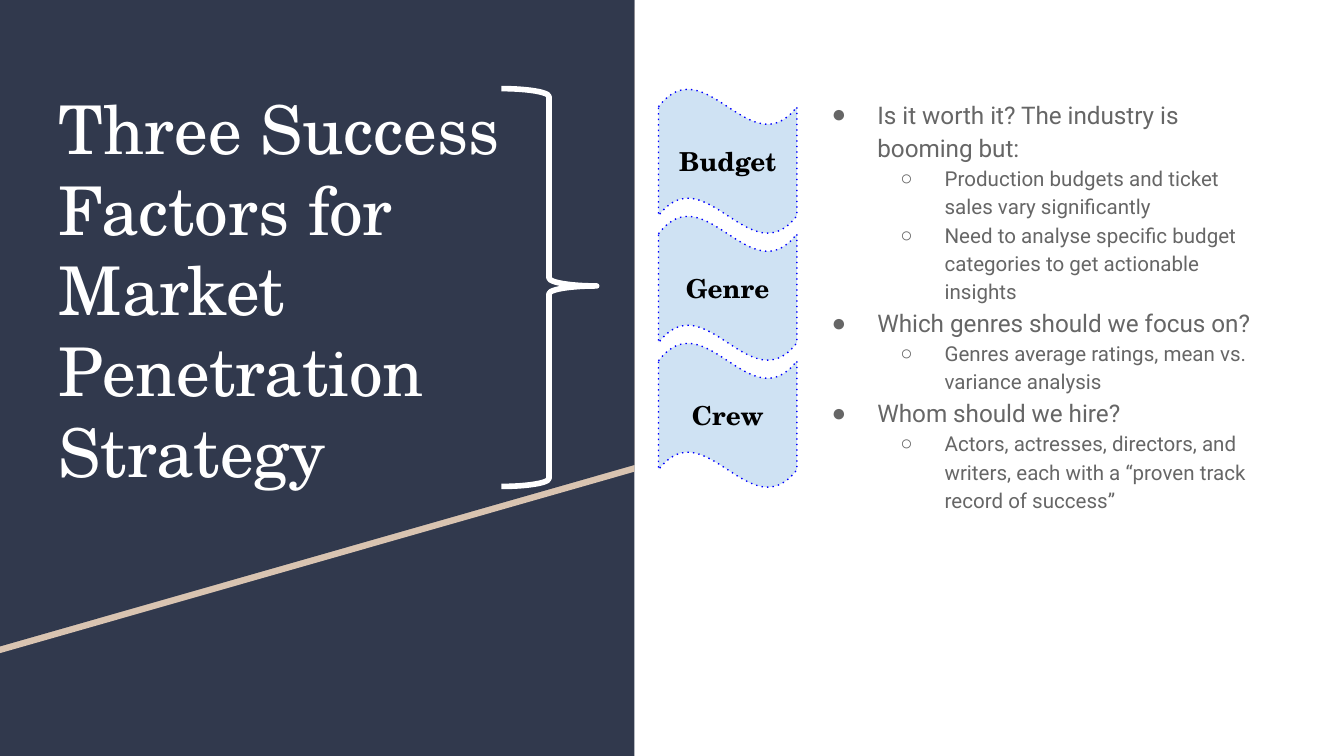
from dataclasses import dataclass

from lxml.etree import SubElement
from pptx import Presentation
from pptx.dml.color import RGBColor
from pptx.enum.shapes import MSO_SHAPE as Shape
from pptx.enum.text import MSO_ANCHOR as Anchor, PP_ALIGN as Align
from pptx.oxml.ns import qn
from pptx.util import Inches, Pt


@dataclass(frozen=True)
class Theme:
    navy: str = "31394D"
    sand: str = "D9C4B1"
    white: str = "FFFFFF"
    black: str = "000000"
    gray: str = "666666"
    pale_blue: str = "CFE2F3"
    blue: str = "0000FF"
    serif: str = "TeX Gyre Schola"
    sans: str = "Roboto"
    bullet: str = "Arial"
    title_size: int = 36
    label_size: int = 14
    point_size: int = 13
    detail_size: int = 11


THEME = Theme()
PAGE_WIDTH = Inches(10)
PAGE_HEIGHT = PAGE_WIDTH * 9 // 16
TITLE = "Three Success Factors for Market Penetration Strategy"
FACTORS = ["Budget", "Genre", "Crew"]
QUESTIONS = [
    ("Is it worth it? The industry is booming but:",
     ["Production budgets and ticket sales vary significantly",
      "Need to analyse specific budget categories to get actionable insights"]),
    ("Which genres should we focus on?",
     ["Genres average ratings, mean vs. variance analysis"]),
    ("Whom should we hire?",
     ["Actors, actresses, directors, and writers, each with a “proven track record of success”"]),
]


def color(value):
    return RGBColor.from_string(value)


def style_font(para, name, size, fill, bold=False):
    font = para.font
    font.name, font.size, font.bold = name, Pt(size), bold
    font.color.rgb = color(fill)


def set_insets(frame):
    frame.word_wrap = True
    frame.margin_left = frame.margin_right = Inches(0.1)
    frame.margin_top = frame.margin_bottom = Inches(0.1)


def fill_plain(shape, fill):
    shape.shadow.inherit = False
    shape.fill.solid()
    shape.fill.fore_color.rgb = color(fill)
    shape.line.fill.background()


def add_polygon(page, points, fill):
    corners = [(Inches(x), Inches(y)) for x, y in points]
    builder = page.shapes.build_freeform(*corners[0])
    builder.add_line_segments(corners[1:], close=True)
    fill_plain(builder.convert_to_shape(), fill)


def add_left_panel(page):
    """Navy panel crossed by a slanted sand stripe."""
    width = 4.72
    panel = page.shapes.add_shape(
        Shape.RECTANGLE, 0, 0, Inches(width), PAGE_HEIGHT)
    fill_plain(panel, THEME.navy)
    for drop, fill in [(0.05, THEME.sand), (0, THEME.navy)]:
        add_polygon(page, [(0, drop), (width, drop),
                           (width, 3.46 + drop), (0, 4.81 + drop)], fill)


def add_text_frame(page, left, top, width, height):
    box = page.shapes.add_textbox(
        Inches(left), Inches(top), Inches(width), Inches(height))
    set_insets(box.text_frame)
    return box.text_frame


def add_title(page):
    para = add_text_frame(page, 0.34, 0.55, 4.05, 2.74).paragraphs[0]
    para.text = TITLE
    style_font(para, THEME.serif, THEME.title_size, THEME.white)


def add_bullet(para, symbol, margin, hanging):
    props = para._p.get_or_add_pPr()
    props.set("marL", str(Inches(margin)))
    props.set("indent", str(-Inches(hanging)))
    tint = SubElement(props, qn("a:buClr"))
    SubElement(tint, qn("a:srgbClr"), val=THEME.gray)
    SubElement(props, qn("a:buFont"), typeface=THEME.bullet)
    SubElement(props, qn("a:buChar"), char=symbol)


def add_questions(page):
    frame = add_text_frame(page, 5.93, 0.61, 3.51, 4.48)
    rows = []
    for question, details in QUESTIONS:
        rows.append((0, question))
        rows += [(1, detail) for detail in details]
    styles = [("●", 0.5, 0.34, THEME.point_size),
              ("○", 1, 0.33, THEME.detail_size)]
    for index, (level, text) in enumerate(rows):
        para = frame.add_paragraph() if index else frame.paragraphs[0]
        symbol, margin, hanging, size = styles[level]
        para.text, para.level, para.line_spacing = text, level, 1.15
        add_bullet(para, symbol, margin, hanging)
        style_font(para, THEME.sans, size, THEME.gray)


def add_brace(page):
    brace = page.shapes.add_shape(
        Shape.RIGHT_BRACE, Inches(3.73), Inches(0.66), Inches(0.71), Inches(2.96))
    brace.shadow.inherit = False
    brace.adjustments[0], brace.adjustments[1] = 0.083, 0.496
    brace.fill.background()
    brace.line.color.rgb = color(THEME.white)
    brace.line.width = Pt(3)


def add_dotted_outline(shape, tint, width):
    shape.line.color.rgb = color(tint)
    shape.line.width = Pt(width)
    outline = shape._element.spPr.find(qn("a:ln"))
    SubElement(outline, qn("a:prstDash"), val="dot")


def add_factor(page, top, label):
    wave = page.shapes.add_shape(
        Shape.WAVE, Inches(4.9), Inches(top), Inches(1.03), Inches(1.08))
    fill_plain(wave, THEME.pale_blue)
    wave.adjustments[0], wave.adjustments[1] = 0.125, 0
    add_dotted_outline(wave, THEME.blue, 0.75)
    frame = wave.text_frame
    set_insets(frame)
    frame.vertical_anchor = Anchor.MIDDLE
    para = frame.paragraphs[0]
    para.text, para.alignment = label, Align.CENTER
    style_font(para, THEME.serif, THEME.label_size, THEME.black, bold=True)


def main():
    deck = Presentation()
    deck.slide_width, deck.slide_height = PAGE_WIDTH, PAGE_HEIGHT
    page = deck.slides.add_slide(deck.slide_layouts[6])
    add_left_panel(page)
    add_title(page)
    add_questions(page)
    add_brace(page)
    first_top, last_top = 0.66, 2.55
    step = (last_top - first_top) / (len(FACTORS) - 1)
    for index, label in enumerate(FACTORS):
        add_factor(page, first_top + step * index, label)
    deck.save("out.pptx")


if __name__ == "__main__":
    main()
